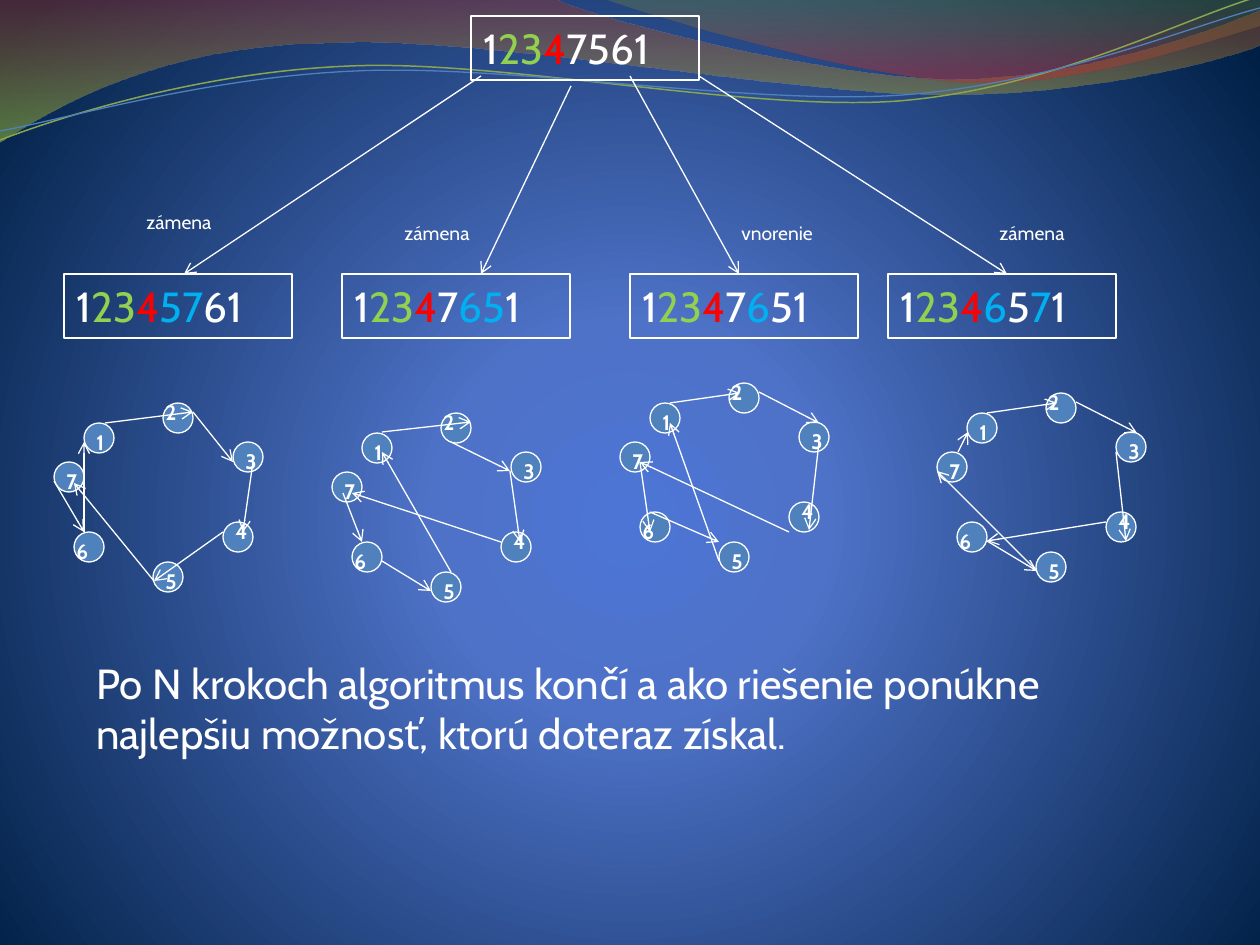
"""Build a slide of tour swaps and the routes they give."""
from copy import deepcopy

from lxml.etree import SubElement
from pptx import Presentation
from pptx.dml.color import RGBColor
from pptx.enum.shapes import MSO_CONNECTOR, MSO_SHAPE
from pptx.enum.text import MSO_ANCHOR, MSO_AUTO_SIZE, PP_ALIGN
from pptx.oxml.ns import qn
from pptx.util import Pt

RECT, OVAL = MSO_SHAPE.RECTANGLE, MSO_SHAPE.OVAL
LINE = MSO_CONNECTOR.STRAIGHT
TOP, LEFT, GROW = MSO_ANCHOR.TOP, PP_ALIGN.LEFT, MSO_AUTO_SIZE.SHAPE_TO_FIT_TEXT
PX = 914400 / 126
HUES = {
    "white": "FFFFFF", "green": "92D050", "red": "FF0000", "cyan": "00B0F0",
    "node": "4F81BD", "olive": "89A54F", "glow": "4D75D6", "mid": "4E72C7",
    "navy": "001F44", "rust": "973330", "lime": "95C238", "moss": "769537",
    "brick": "BE3330",
}
RGB = {name: RGBColor.from_string(code) for name, code in HUES.items()}


def write(shape, runs, size, bold=False):
    frame = shape.text_frame
    frame.word_wrap = True
    frame.auto_size = GROW
    frame.vertical_anchor = TOP
    para = frame.paragraphs[0]
    para.alignment = LEFT
    for text, hue in runs:
        run = para.add_run()
        run.text = text
        run.font.name = "Cabin"
        run.font.size = Pt(size)
        run.font.bold = bold
        run.font.color.rgb = RGB[hue]


def arrow(shapes, *ends):
    link = shapes.add_connector(LINE, *[round(v * PX) for v in ends])
    link.line.color.rgb = RGB["white"]
    link.line.width = Pt(0.75)
    props = link.element.spPr
    SubElement(props.find(qn("a:ln")), qn("a:tailEnd"), type="arrow")
    SubElement(props, qn("a:effectLst"))


deck = Presentation()
deck.slide_width, deck.slide_height = round(1260 * PX), round(945 * PX)
slide = deck.slides.add_slide(deck.slide_layouts[6])

back = slide.background.fill
back.gradient()
grad = slide.element.find(".//" + qn("a:gradFill"))
stops = grad.find(qn("a:gsLst"))
stops.append(deepcopy(stops[0]))
for stop, (pos, hue) in zip(back.gradient_stops, [(0, "glow"), (0.25, "mid"), (1, "navy")]):
    stop.position = pos
    stop.color.rgb = RGB[hue]
grad.remove(grad.find(qn("a:lin")))
ring = SubElement(grad, qn("a:path"), path="circle")
SubElement(ring, qn("a:fillToRect"), l="10000", t="110000", r="10000", b="100000")

waves = [
    ([(0, "rust", 45), (1, "lime", 55)], None, 0, (0, 0), [
        [(554, -1)],
        [(600, 21), (837, 79), (955, 79)],
        [(1075, 79), (1207, 33), (1260, 11)],
        [(1261, 45)],
        [(1239, 55), (1096, 96), (940, 94)],
        [(784, 94), (481, 35), (324, 43)],
        [(163, 45), (58, 105), (-1, 142)],
        [(0, 0)]]),
    ([(0, "moss", 30), (0.8, "brick", 45)], None, 0, (604, -1), [
        [(641, 14), (859, 78), (969, 82)],
        [(1079, 87), (1211, 40), (1260, 26)],
        [(1260, 0)],
        [(604, -1)]]),
    ([], "olive", 0.85, (0, 140), [
        [(60, 117), (199, 72), (349, 66)],
        [(498, 59), (747, 112), (898, 101)],
        [(1050, 89), (1182, 19), (1257, -3)]]),
    ([], "node", 0.75, (0, 131), [
        [(59, 121), (205, 77), (357, 71)],
        [(508, 64), (752, 106), (903, 95)],
        [(1053, 84), (1191, 26), (1260, 8)]]),
]
for tints, hue, width, start, parts in waves:
    pen = slide.shapes.build_freeform(*start, PX)
    pen.add_line_segments(sum(parts, []), close=bool(tints))
    wave = pen.convert_to_shape()
    wave.shadow.inherit = False
    track = wave.element.find(".//" + qn("a:path"))
    knots = iter(track.findall(qn("a:lnTo")))
    for part in parts:
        trio = [next(knots) for _ in part]
        if len(trio) == 3:
            bend = SubElement(track, qn("a:cubicBezTo"))
            trio[0].addprevious(bend)
            for knot in trio:
                bend.append(knot[0])
                track.remove(knot)
    if tints:
        wave.line.fill.background()
        wave.fill.gradient()
        wave.fill.gradient_angle = 270
        for stop, (pos, tint, _) in zip(wave.fill.gradient_stops, tints):
            stop.position = pos
            stop.color.rgb = RGB[tint]
        for node, (_, _, alpha) in zip(wave.element.iter(qn("a:srgbClr")), tints):
            SubElement(node, qn("a:alpha"), val=str(alpha * 1000))
    else:
        wave.fill.background()
        wave.line.color.rgb = RGB[hue]
        wave.line.width = Pt(width)

head = [("1", "white"), ("23", "green"), ("4", "red")]
tours = [
    (471, 16, [("7561", "white")]),
    (64, 274, [("57", "cyan"), ("61", "white")]),
    (342, 274, [("7", "white"), ("65", "cyan"), ("1", "white")]),
    (630, 274, [("7", "white"), ("6", "cyan"), ("51", "white")]),
    (888, 274, [("6", "cyan"), ("5", "white"), ("7", "cyan"), ("1", "white")]),
]
for x, y, tail in tours:
    box = slide.shapes.add_shape(RECT, *[round(v * PX) for v in (x, y, 228, 64)])
    box.shadow.inherit = False
    box.fill.background()
    box.line.color.rgb = RGB["white"]
    box.line.width = Pt(0.75)
    write(box, head + tail, 24)

for ends in [(481, 76, 184, 274), (571, 86, 481, 274), (630, 76, 739, 274), (699, 76, 1007, 274)]:
    arrow(slide.shapes, *ends)

notes = [
    (729, 215, 100, 36, "vnorenie", 11),
    (134, 204, 100, 36, "zámena", 11),
    (392, 215, 100, 36, "zámena", 11),
    (987, 215, 100, 36, "zámena", 11),
]
for *spot, text, size in notes:
    note = slide.shapes.add_textbox(*[round(v * PX) for v in spot])
    write(note, [(text, "white")], size)

nodes = [
    ("1", 30, 20, 0, 0), ("2", 109, 0, -10, -10), ("3", 179, 39, 0, 0),
    ("4", 169, 119, 0, -10), ("5", 99, 159, 0, 0), ("6", 20, 129, -10, 0),
    ("7", 0, 59, 0, 0),
]
sets = [
    [(54, 403, [
        (105, 423, 193, 412), (193, 412, 233, 462), (253, 462, 243, 532), (223, 532, 154, 581),
        (154, 581, 74, 483), (54, 481, 84, 532), (84, 532, 84, 442)]),
     (332, 413, [
         (382, 432, 471, 422), (451, 442, 510, 471), (510, 471, 520, 542), (501, 542, 352, 493),
         (343, 493, 362, 542), (382, 561, 431, 591), (451, 572, 382, 452)])],
    [(620, 383, [
        (670, 403, 740, 393), (759, 392, 819, 423), (819, 442, 809, 530), (789, 532, 640, 462),
        (640, 462, 650, 532), (650, 512, 719, 542), (719, 561, 670, 423)])],
    [(937, 393, [
        (987, 413, 1057, 403), (1076, 402, 1137, 433), (1116, 452, 1126, 541),
        (1106, 522, 987, 541), (987, 541, 1037, 571), (1037, 571, 937, 471),
        (958, 452, 968, 432)])],
]
for nets in sets:
    group = slide.shapes.add_group_shape().shapes
    for left, top, links in nets:
        for name, x, y, dx, dy in nodes:
            x, y = left + x, top + y
            disc = group.add_shape(OVAL, *[round(v * PX) for v in (x, y, 30, 30)])
            disc.shadow.inherit = False
            disc.fill.solid()
            disc.fill.fore_color.rgb = RGB["node"]
            disc.line.color.rgb = RGB["white"]
            disc.line.width = Pt(0.75)
            label = group.add_textbox(*[round(v * PX) for v in (x + dx, y + dy, 40, 38)])
            write(label, [(name, "white")], 12, True)
        for ends in links:
            arrow(group, *ends)

body = slide.shapes.add_textbox(*[round(v * PX) for v in (84, 651, 1121, 115)])
claim = "Po N krokoch algoritmus končí a ako riešenie ponúkne najlepšiu možnosť, ktorú doteraz získal."
write(body, [(claim, "white")], 24)

deck.save("out.pptx")
